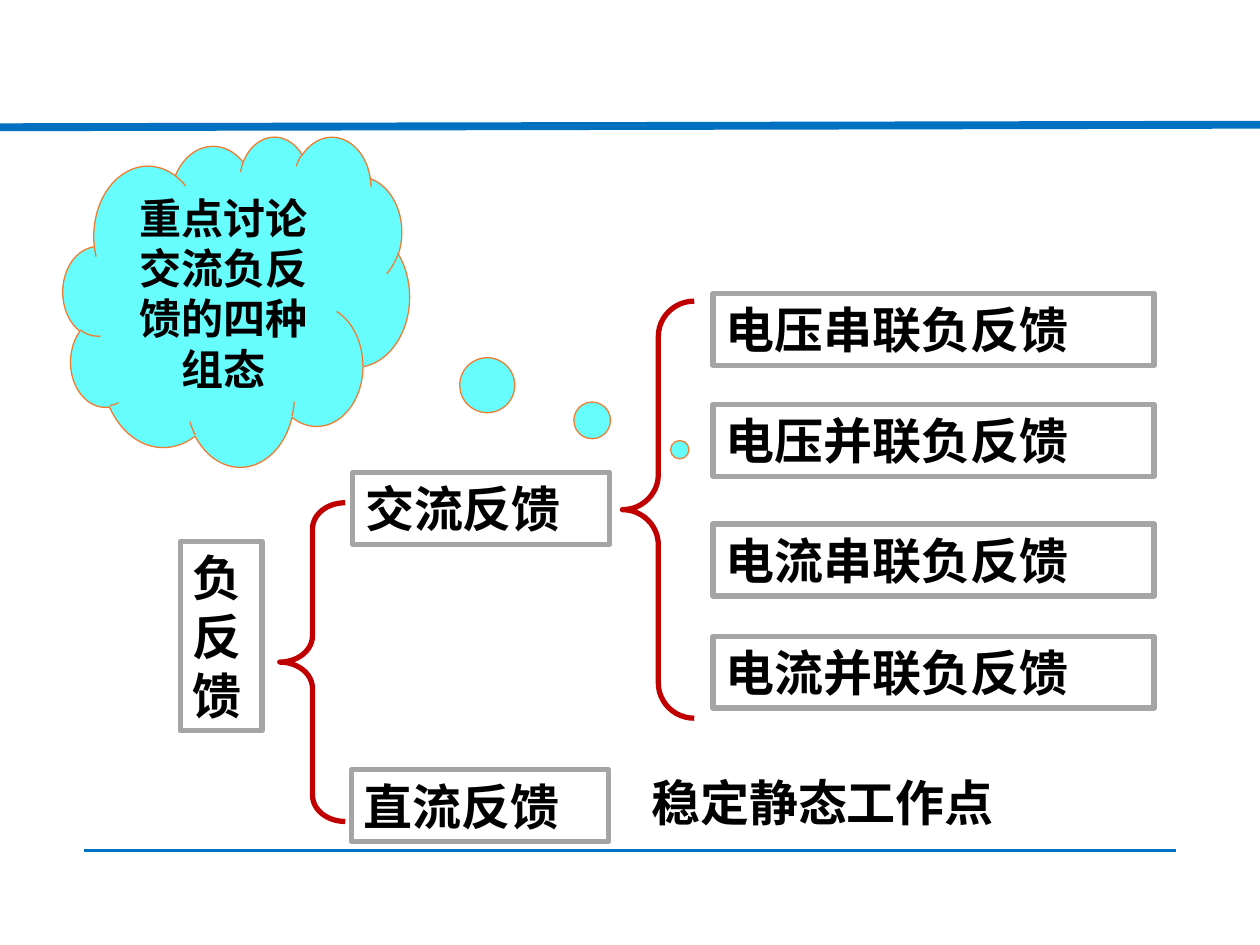
"""Build a slide that sorts negative feedback into its types."""
from lxml import etree
from pptx import Presentation
from pptx.dml.color import RGBColor
from pptx.enum.shapes import MSO_CONNECTOR, MSO_SHAPE as SHAPE
from pptx.enum.text import MSO_ANCHOR, PP_ALIGN
from pptx.oxml.ns import qn
from pptx.util import Inches, Pt


def rgb(value):
    return RGBColor.from_string(value)


def add_text(text, x, y, w, h, shape=SHAPE.RECTANGLE, size=28, fill=None,
             line="A5A5A5", weight=3, align=PP_ALIGN.LEFT):
    s = slide.shapes.add_shape(shape, Inches(x), Inches(y), Inches(w), Inches(h))
    s.shadow.inherit = False
    if fill:
        s.fill.solid()
        s.fill.fore_color.rgb = rgb(fill)
    else:
        s.fill.background()
    s.line.color.rgb = rgb(line)
    s.line.width = Pt(weight)
    tf = s.text_frame
    tf.word_wrap = True
    tf.vertical_anchor = MSO_ANCHOR.TOP
    p = tf.paragraphs[0]
    p.alignment = align
    if text:
        r = p.add_run()
        r.text = text
        r.font.name = "Times New Roman"
        r.font.size = Pt(size)
        r.font.bold = True
        r.font.color.rgb = rgb("000000")
    return s


prs = Presentation()
prs.slide_width, prs.slide_height = Inches(10), Inches(7.5)
slide = prs.slides.add_slide(prs.slide_layouts[6])

for x1, y1, x2, y2, weight in [(0.67, 6.75, 9.33, 6.75, 1.5), (0, 1.01, 10, 0.99, 4.5)]:
    s = slide.shapes.add_connector(MSO_CONNECTOR.STRAIGHT, Inches(x1), Inches(y1),
                                   Inches(x2), Inches(y2))
    s.line.color.rgb = rgb("0070C0")
    s.line.width = Pt(weight)
    etree.SubElement(s._element.spPr, qn("a:effectLst"))

add_text("负反馈", 1.43, 4.3, 0.65, 1.5)
add_text("交流反馈", 2.8, 3.75, 2.04, 0.57)
add_text("直流反馈", 2.79, 6.11, 2.04, 0.57)

for x, y, w, h, curve in [(2.22, 3.99, 0.52, 2.53, 0.4), (4.94, 2.39, 0.57, 3.31, 0.49)]:
    s = add_text("", x, y, w, h, shape=SHAPE.LEFT_BRACE, line="C00000")
    s.adjustments[0] = curve

types = ["电压串联负反馈", "电压并联负反馈", "电流串联负反馈", "电流并联负反馈"]
for text, y in zip(types, [2.33, 3.21, 4.16, 5.05]):
    add_text(text, 5.66, y, 3.5, 0.57)

s = add_text("稳定静态工作点", 5.07, 6.08, 3.69, 0.57)
s.line.fill.background()

s = add_text("重点讨论交流负反馈的四种组态", 0.5, 1.08, 2.75, 2.62, shape=SHAPE.CLOUD_CALLOUT,
             size=24, fill="67FDFD", line="ED7D31", weight=0.75, align=PP_ALIGN.CENTER)
s.adjustments[0], s.adjustments[1] = 1.28, 0.45

prs.save("out.pptx")
